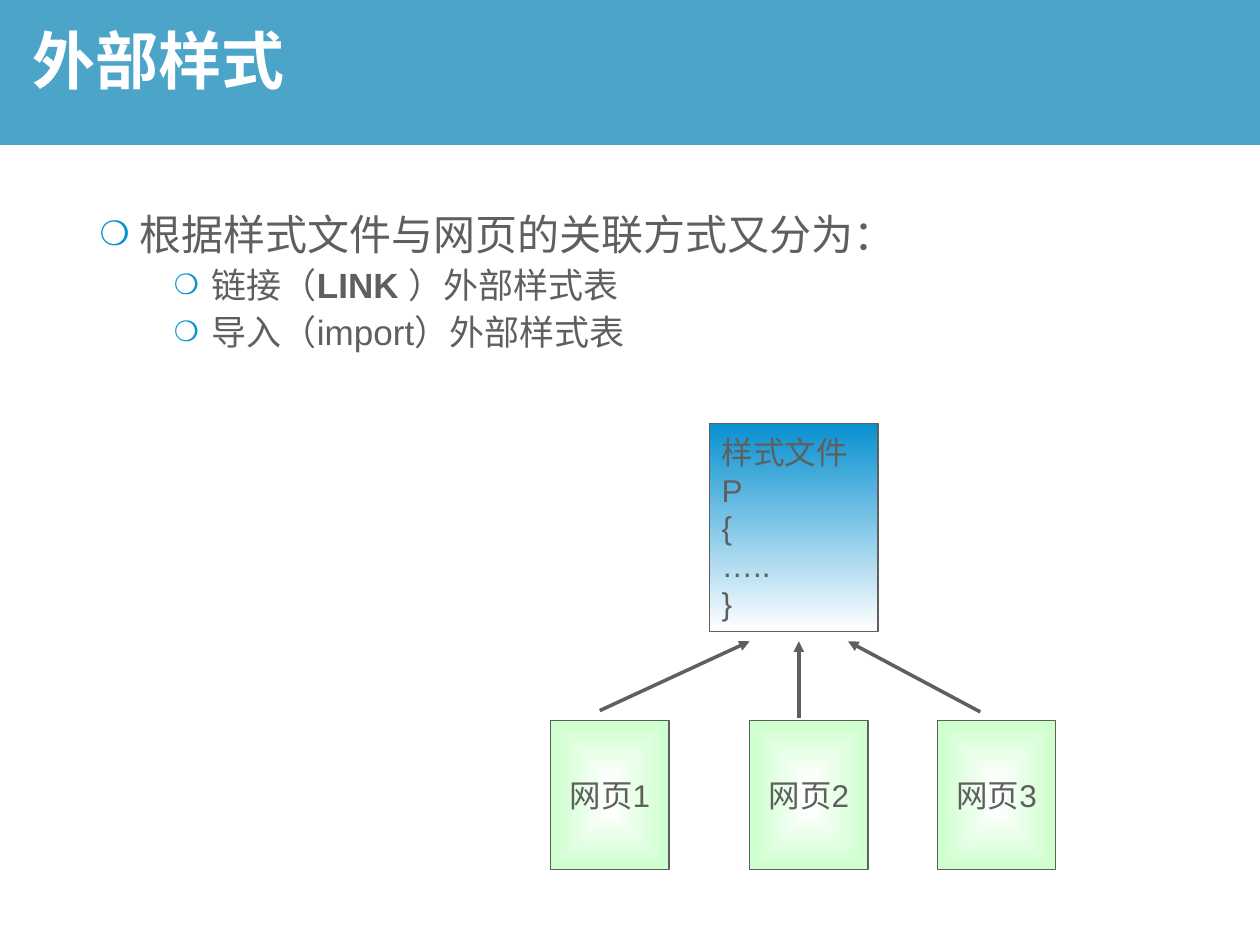
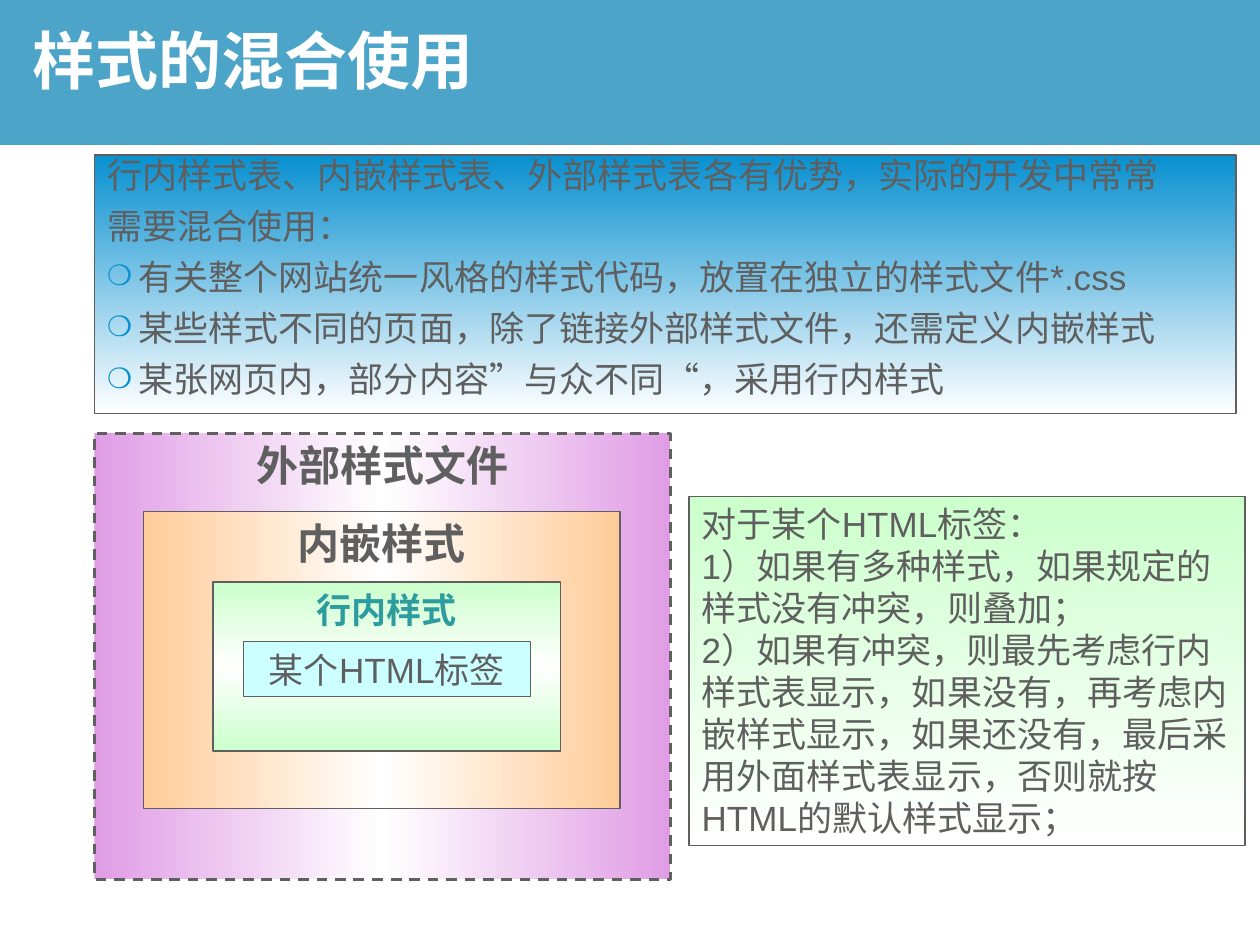
import pptx
import pptx.util
import pptx.dml.color
import pptx.enum.dml
import pptx.enum.shapes
import pptx.enum.text
import pptx.oxml.ns
from dataclasses import dataclass
from lxml import etree

Inches, Pt = pptx.util.Inches, pptx.util.Pt
RGB = pptx.dml.color.RGBColor.from_string
qn = pptx.oxml.ns.qn
ALIGN = pptx.enum.text.PP_ALIGN
ANCHOR = pptx.enum.text.MSO_ANCHOR
RECT = pptx.enum.shapes.MSO_SHAPE.RECTANGLE


@dataclass(frozen=True)
class Theme:
    band: str = "0080B2"
    blue: str = "0890D0"
    ink: str = "5F5F5F"
    white: str = "FFFFFF"
    green: str = "CCFFCC"
    violet: str = "E09DE5"
    orange: str = "FFCC99"
    cyan: str = "CCFFFF"
    teal: str = "2D9C9F"
    title_font: str = "Noto Sans CJK SC"
    font: str = "Arial"
    title: int = 36
    large: int = 24
    normal: int = 20
    small: int = 18


T = Theme()

BAND = (0, 0, 10, 1.15)
TITLE = (0.16, 0, 6.87, 1.02)

LINK_TITLE = "外部样式"
LINK_BODY = (0.69, 1.65, 8.63, 5.11)
LINK_LIST = [
    (0, [("根据样式文件与网页的关联方式又分为：", False)]),
    (1, [("链接（", False), ("LINK ", True), ("）外部样式表", False)]),
    (1, [("导入（import）外部样式表", False)]),
]
LEVELS = [
    dict(size=T.large, margin=0.32, hang=0.32, before=10),
    dict(size=T.normal, margin=0.89, hang=0.3, before=5),
]
STYLE_FILE = (5.63, 3.36, 1.34, 1.65)
STYLE_LINES = ["样式文件", "P", "{", "…..", "}"]
PAGE_TOP, PAGE_WIDTH, PAGE_HEIGHT = 5.72, 0.94, 1.18
PAGES = [("网页1", 4.37), ("网页2", 5.95), ("网页3", 7.44)]
ARROW_END = 5.09
ARROWS = [(4.76, 5.64, 5.95), (6.34, 5.7, 6.34), (7.78, 5.65, 6.73)]

MIX_TITLE = "样式的混合使用"
MIX_BODY = (0.75, 1.23, 9.06, 2.05)
MIX_INTRO = [
    "行内样式表、内嵌样式表、外部样式表各有优势，实际的开发中常常",
    "需要混合使用：",
]
MIX_LIST = [
    "有关整个网站统一风格的样式代码，放置在独立的样式文件*.css",
    "某些样式不同的页面，除了链接外部样式文件，还需定义内嵌样式",
    "某张网页内，部分内容”与众不同“，采用行内样式",
]
NESTED = [
    ("外部样式文件", (0.75, 3.44, 4.57, 3.54), T.violet, 0, T.large, T.ink),
    ("内嵌样式", (1.14, 4.06, 3.78, 2.36), T.orange, 0, T.large, T.ink),
    ("行内样式", (1.69, 4.62, 2.76, 1.34), T.green, 90, T.normal, T.teal),
]
TAG = (1.93, 5.09, 2.28, 0.44)
TAG_LABEL = "某个HTML标签"
RULES = (5.47, 3.94, 4.41, 2.77)
RULE_LINES = [
    "对于某个HTML标签：",
    "1）如果有多种样式，如果规定的样式没有冲突，则叠加；",
    "2）如果有冲突，则最先考虑行内样式表显示，如果没有，再考虑内嵌样式显示，"
    "如果还没有，最后采用外面样式表显示，否则就按HTML的默认样式显示；",
]


def sub(parent, tag, **attrs):
    return etree.SubElement(parent, qn(tag), {k: str(v) for k, v in attrs.items()})


def place(sp, box):
    sp.left, sp.top, sp.width, sp.height = map(Inches, box)


def outline(sp, width=0.75):
    sp.line.color.rgb = RGB(T.ink)
    sp.line.width = Pt(width)


def gradient(sp, colours, angle=None):
    sp.fill.gradient()
    grad = sp.element.spPr.find(qn("a:gradFill"))
    for child in list(grad):
        grad.remove(child)
    stops = sub(grad, "a:gsLst")
    for i, colour in enumerate(colours):
        stop = sub(stops, "a:gs", pos=100000 * i // (len(colours) - 1))
        sub(stop, "a:srgbClr", val=colour)
    if angle is None:
        centre = sub(grad, "a:path", path="rect")
        sub(centre, "a:fillToRect", l=50000, t=50000, r=50000, b=50000)
    else:
        sub(grad, "a:lin", ang=angle * 60000, scaled=0)


def bullet(p, margin=0, hang=0):
    pPr = p._p.get_or_add_pPr()
    pPr.set("marL", str(Inches(margin)))
    pPr.set("indent", str(-Inches(hang)))
    if hang:
        sub(sub(pPr, "a:buClr"), "a:srgbClr", val=T.blue)
        sub(pPr, "a:buSzPct", val=80000)
        sub(pPr, "a:buFont", typeface=T.font)
        sub(pPr, "a:buChar", char="❍")
    else:
        sub(pPr, "a:buNone")


def style(p, size, colour=T.ink, bold=False, font=T.font):
    p.font.name, p.font.size, p.font.bold = font, Pt(size), bold
    p.font.color.rgb = RGB(colour)


def paragraphs(tf, count):
    return [tf.paragraphs[0]] + [tf.add_paragraph() for _ in range(count - 1)]


def add_box(s, box, lines, size, colour=T.ink, bold=False, align=ALIGN.CENTER,
            anchor=ANCHOR.MIDDLE, wrap=False):
    sp = s.shapes.add_shape(RECT, *map(Inches, box))
    sp.shadow.inherit = False
    outline(sp)
    tf = sp.text_frame
    tf.word_wrap, tf.vertical_anchor = wrap, anchor
    for p, line in zip(paragraphs(tf, len(lines)), lines):
        p.text, p.alignment = line, align
        style(p, size, colour, bold)
    return sp


def add_arrow(s, x1, y1, x2, y2):
    line = s.shapes.add_connector(pptx.enum.shapes.MSO_CONNECTOR.STRAIGHT,
                                  *map(Inches, (x1, y1, x2, y2)))
    outline(line, 2)
    sub(line.line._get_or_add_ln(), "a:tailEnd", type="triangle")
    sub(line.element.spPr, "a:effectLst")


def add_band(prs, s):
    band = s.shapes.add_shape(RECT, *map(Inches, BAND))
    band.shadow.inherit = False
    band.fill.solid()
    band.fill.fore_color.rgb = RGB(T.band)
    band.line.fill.background()
    colour = band.element.spPr.find(qn("a:solidFill")).find(qn("a:srgbClr"))
    sub(colour, "a:alpha", val=70000)
    prs.slide_master.shapes.element.insert(2, band.element)


def add_slide(prs, title, body_box):
    s = prs.slides.add_slide(prs.slide_layouts[1])
    head, body = s.shapes.title, s.placeholders[1]
    place(head, TITLE)
    place(body, body_box)
    head.text_frame.vertical_anchor = ANCHOR.MIDDLE
    p = head.text_frame.paragraphs[0]
    p.text, p.alignment, p.line_spacing = title, ALIGN.LEFT, 0.9
    style(p, T.title, T.white, True, T.title_font)
    for tf in (head.text_frame, body.text_frame):
        tf.auto_size = pptx.enum.text.MSO_AUTO_SIZE.NONE
    return s, body


def link_slide(prs):
    s, body = add_slide(prs, LINK_TITLE, LINK_BODY)
    items = paragraphs(body.text_frame, len(LINK_LIST))
    for i, (p, (level, runs)) in enumerate(zip(items, LINK_LIST)):
        look = LEVELS[level]
        p.level = level
        bullet(p, look["margin"], look["hang"])
        p.line_spacing = 0.9
        p.space_before = Pt(look["before"] if i else 0)
        style(p, look["size"])
        for text, bold in runs:
            r = p.add_run()
            r.text, r.font.bold = text, bold
    style_file = add_box(s, STYLE_FILE, STYLE_LINES, T.small, align=ALIGN.LEFT)
    gradient(style_file, [T.blue, T.white], 90)
    for label, left in PAGES:
        page = add_box(s, (left, PAGE_TOP, PAGE_WIDTH, PAGE_HEIGHT), [label], T.small)
        gradient(page, [T.white, T.green])
    for x1, y1, x2 in ARROWS:
        add_arrow(s, x1, y1, x2, ARROW_END)
    return s


def mix_slide(prs):
    s, body = add_slide(prs, MIX_TITLE, MIX_BODY)
    gradient(body, [T.blue, T.white], 90)
    outline(body)
    lines = MIX_INTRO + MIX_LIST
    for i, p in enumerate(paragraphs(body.text_frame, len(lines))):
        p.text = lines[i]
        indent = 0.25 if i >= len(MIX_INTRO) else 0
        bullet(p, indent, indent)
        p.line_spacing = 0.8
        p.space_before = Pt(10 if i else 0)
        style(p, T.normal)
    for label, box, edge, angle, size, colour in NESTED:
        layer = add_box(s, box, [label], size, colour, True, anchor=ANCHOR.TOP)
        gradient(layer, [edge, T.white, edge], angle)
        if label == NESTED[0][0]:
            outline(layer, 1.5)
            layer.line.dash_style = pptx.enum.dml.MSO_LINE.DASH
    tag = add_box(s, TAG, [TAG_LABEL], T.normal, wrap=True)
    tag.fill.solid()
    tag.fill.fore_color.rgb = RGB(T.cyan)
    rules = add_box(s, RULES, RULE_LINES, T.normal, align=ALIGN.LEFT, wrap=True)
    gradient(rules, [T.green, T.white], 90)
    outline(rules, 1)


def main():
    prs = pptx.Presentation()
    prs.slide_width, prs.slide_height = Inches(10), Inches(7.5)
    add_band(prs, link_slide(prs))
    mix_slide(prs)
    prs.save("out.pptx")


if __name__ == "__main__":
    main()
